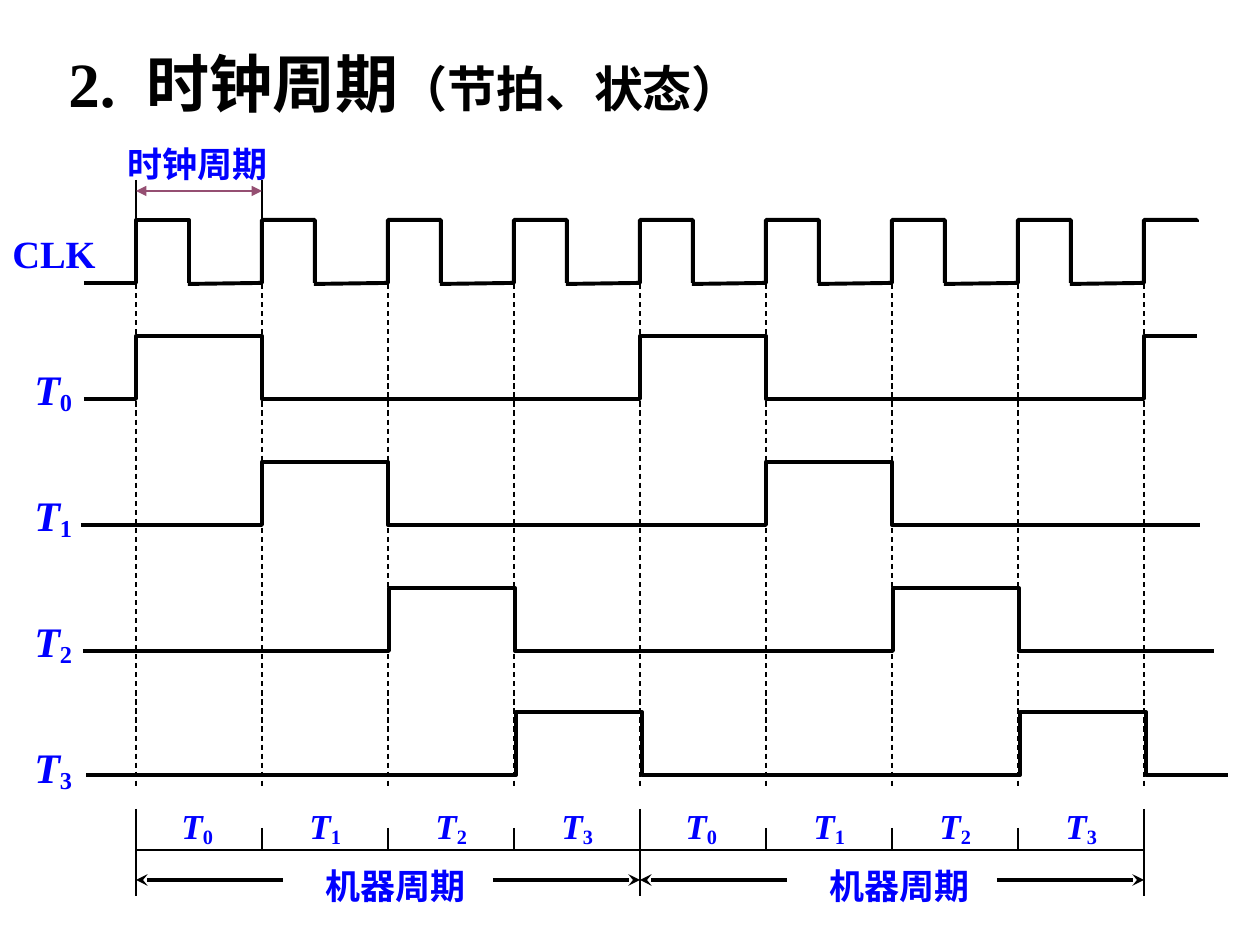
from dataclasses import dataclass

from lxml import etree
from pptx import Presentation
from pptx.dml.color import RGBColor
from pptx.enum.dml import MSO_LINE
from pptx.enum.shapes import MSO_CONNECTOR
from pptx.enum.text import MSO_AUTO_SIZE
from pptx.oxml.ns import qn
from pptx.util import Emu, Pt

STRAIGHT = MSO_CONNECTOR.STRAIGHT
DASH = MSO_LINE.DASH
FIT_SHAPE = MSO_AUTO_SIZE.SHAPE_TO_FIT_TEXT
SCALE = 914400 / 126
CYCLE = 126
LEFT = 136
CYCLES = 8
STATES = 4


@dataclass(frozen=True)
class Theme:
    """Colours, font, type sizes and line widths."""
    ink: RGBColor = RGBColor(0x00, 0x00, 0x00)
    label: RGBColor = RGBColor(0x00, 0x00, 0xFF)
    span: RGBColor = RGBColor(0x95, 0x4F, 0x72)
    font: str = "Times New Roman"
    title: int = 36
    subtitle: int = 28
    signal: int = 24
    clock: int = 22
    small: int = 20
    thick: float = 2.25
    medium: float = 1.5
    thin: float = 0.75


THEME = Theme()


def px(n):
    """Turn px into EMU."""
    return Emu(round(n * SCALE))


def edge_x(cycle):
    """Give the x of the clock edge that starts a cycle."""
    return LEFT + CYCLE * cycle


def add_text(s, x, y, w, h, size, color=THEME.label):
    """Add an empty bold text box and return its paragraph."""
    tf = s.shapes.add_textbox(px(x), px(y), px(w), px(h)).text_frame
    tf.word_wrap = True
    tf.auto_size = FIT_SHAPE
    p = tf.paragraphs[0]
    p.font.name = THEME.font
    p.font.size = Pt(size)
    p.font.bold = True
    p.font.color.rgb = color
    return p


def add_label(s, text, x, y, w, h, size):
    """Add a one-run label."""
    add_text(s, x, y, w, h, size).add_run().text = text


def add_state_label(s, index, x, y, w, h, size):
    """Add an italic T with an upright subscript number."""
    p = add_text(s, x, y, w, h, size)
    r = p.add_run()
    r.text = "T"
    r.font.italic = True
    r = p.add_run()
    r.text = str(index)
    r.font._element.set("baseline", "-15000")


def add_title(s):
    """Add the numbered heading with its smaller remark."""
    p = add_text(s, 56, 38, 712, 88, THEME.title, THEME.ink)
    tabs = etree.Element(qn("a:tabLst"))
    etree.SubElement(tabs, qn("a:tab"), pos=str(px(78)), algn="l")
    p._p.get_or_add_pPr().insert(0, tabs)
    p.add_run().text = "2.\t时钟周期"
    r = p.add_run()
    r.text = "（节拍、状态）"
    r.font.size = Pt(THEME.subtitle)


def add_line(s, start, end, width, color=THEME.ink, dash=None, head=None, tail=None):
    """Add a straight line with optional dash and arrowheads."""
    sp = s.shapes.add_connector(STRAIGHT, *map(px, start + end))
    sp.line.color.rgb = color
    sp.line.width = Pt(width)
    if dash is not None:
        sp.line.dash_style = dash
    ln = sp.line._get_or_add_ln()
    for tag, kind in (("a:headEnd", head), ("a:tailEnd", tail)):
        if kind:
            etree.SubElement(ln, qn(tag), type=kind)
    etree.SubElement(sp._element.spPr, qn("a:effectLst"))


def add_wave(s, points):
    """Add an open outline through the points."""
    builder = s.shapes.build_freeform(*points[0], scale=SCALE)
    builder.add_line_segments(points[1:], close=False)
    sp = builder.convert_to_shape()
    sp.shadow.inherit = False
    sp.fill.background()
    sp.line.color.rgb = THEME.ink
    sp.line.width = Pt(THEME.thick)


def add_clock(s):
    """Add the CLK label and one pulse per cycle."""
    add_label(s, "CLK", 0, 224, 116, 59, THEME.clock)
    for i in range(CYCLES + 1):
        rise = edge_x(i)
        fall = rise + 53
        start = (rise - 74, 284) if i else (84, 283)
        bottom = 283 if i < CYCLES else 222
        add_wave(s, [start, (rise, 283), (rise, 220), (fall, 220), (fall, bottom)])


def add_state_signal(s, index, left, right, shift, high):
    """Add a state's label and its pulse in every machine cycle."""
    low = high + 63
    points = [(left, low)]
    for cycle in range(index, CYCLES + 1, STATES):
        rise = edge_x(cycle) + shift
        points += [(rise, low), (rise, high)]
        if rise + CYCLE < right:
            points += [(rise + CYCLE, high), (rise + CYCLE, low)]
    points.append((right, points[-1][1]))
    add_wave(s, points)
    add_state_label(s, index, 22, 357 + CYCLE * index, 66, 66, THEME.signal)


def add_clock_period(s):
    """Mark the length of the first clock cycle."""
    for cycle in range(2):
        add_line(s, (edge_x(cycle), 180), (edge_x(cycle), 223), THEME.medium)
    add_line(s, (LEFT, 191), (edge_x(1), 191), THEME.medium, THEME.span,
             head="triangle", tail="triangle")
    add_label(s, "时钟周期", 115, 136, 175, 55, THEME.small)


def add_scale(s):
    """Add the bottom axis with its ticks and state names."""
    add_line(s, (LEFT, 850), (edge_x(CYCLES), 850), THEME.thin)
    for i in range(CYCLES + 1):
        x = edge_x(i)
        top, bottom = (828, 850) if i % STATES else (809, 896)
        add_line(s, (x, top), (x, bottom), THEME.thin)
    for i in range(CYCLES):
        state = i % STATES
        offset = 35 if state else 33
        add_state_label(s, state, edge_x(i) + offset, 798, 60, 57, THEME.small)


def add_machine_cycle(s, start):
    """Mark one machine cycle with outward arrows and a name."""
    left, right = edge_x(start), edge_x(start + STATES)
    for inner, outer in ((left + 147, left), (right - 147, right)):
        add_line(s, (inner, 880), (outer, 880), THEME.thick, tail="stealth")
    add_label(s, "机器周期", left + 177, 858, 175, 55, THEME.small)


def main():
    """Build the timing diagram slide."""
    prs = Presentation()
    prs.slide_width, prs.slide_height = px(1260), px(945)
    s = prs.slides.add_slide(prs.slide_layouts[6])
    signals = ((84, 1197, 0, 336), (81, 1200, 0, 462),
               (83, 1214, 1, 588), (86, 1228, 2, 712))
    for index, signal in enumerate(signals):
        add_state_signal(s, index, *signal)
    add_clock(s)
    for i in range(CYCLES + 1):
        add_line(s, (edge_x(i), 248), (edge_x(i), 788), THEME.thin, dash=DASH)
    add_clock_period(s)
    add_title(s)
    add_scale(s)
    for start in range(0, CYCLES, STATES):
        add_machine_cycle(s, start)
    prs.save("out.pptx")


if __name__ == "__main__":
    main()
